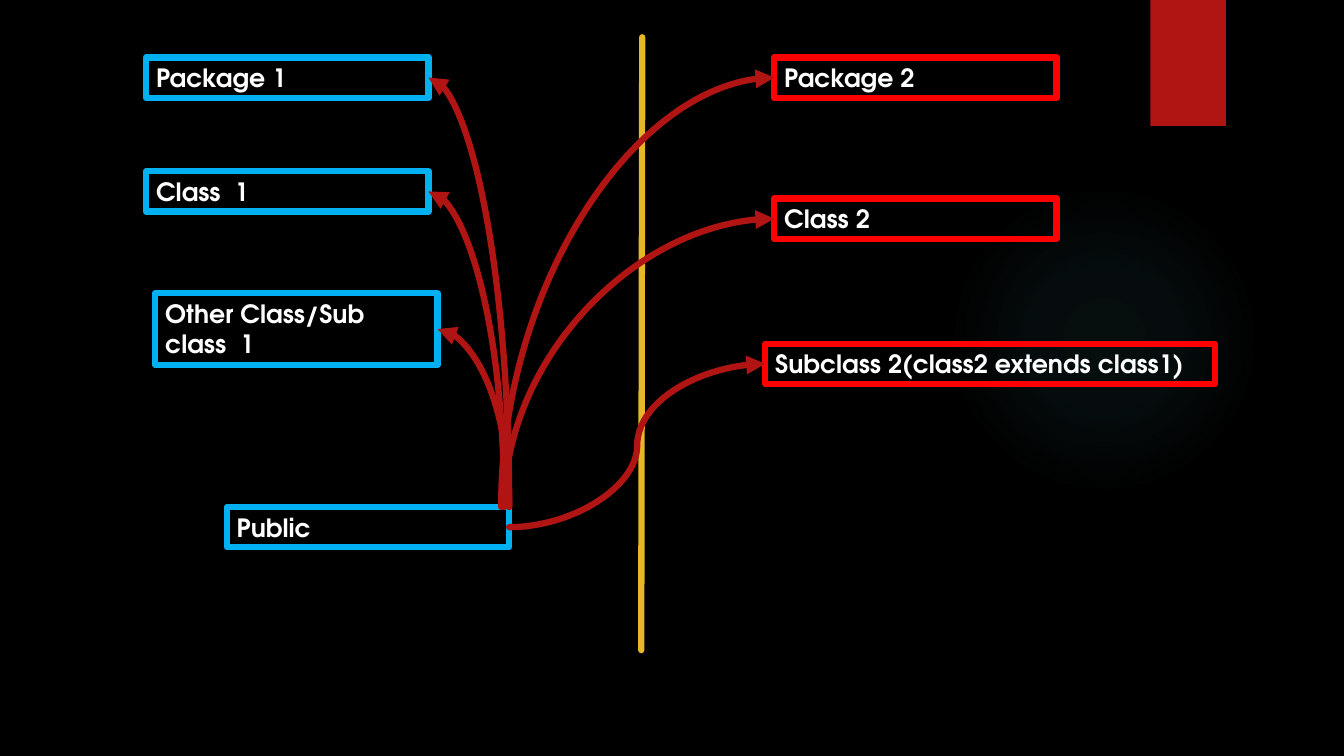
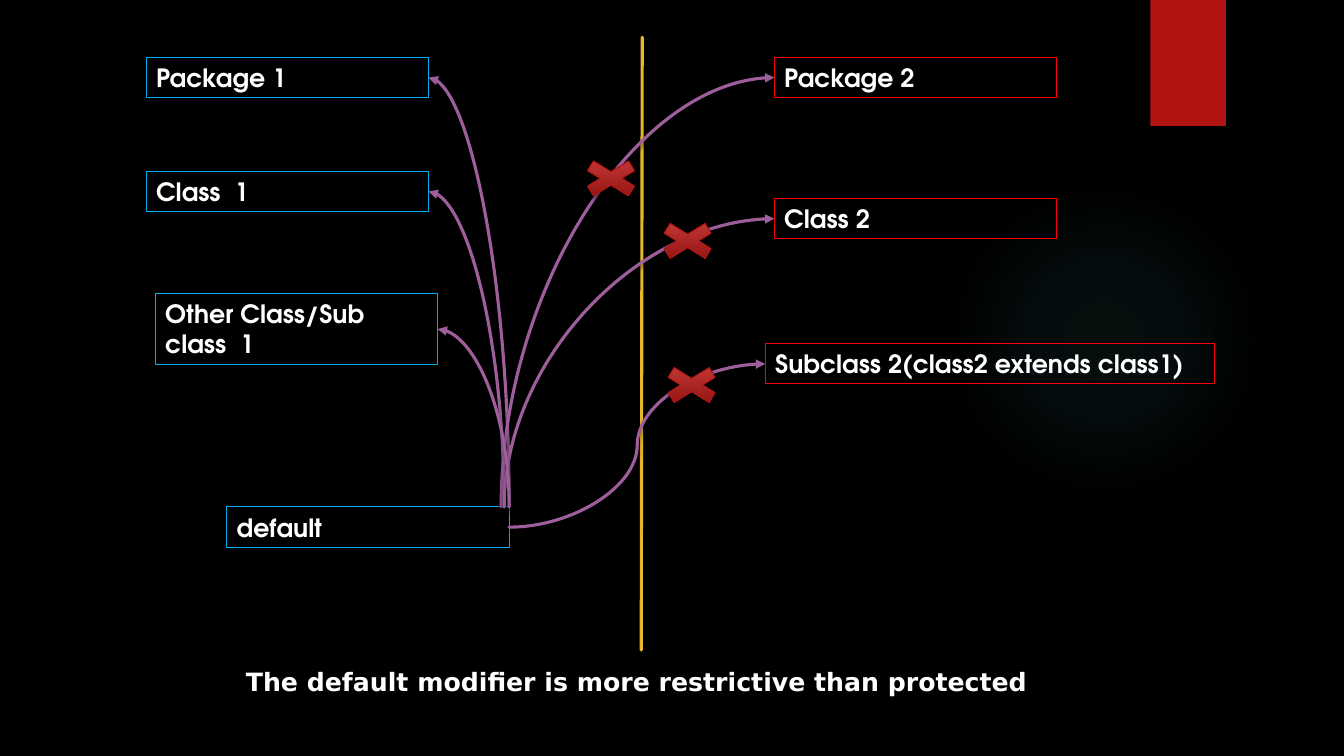
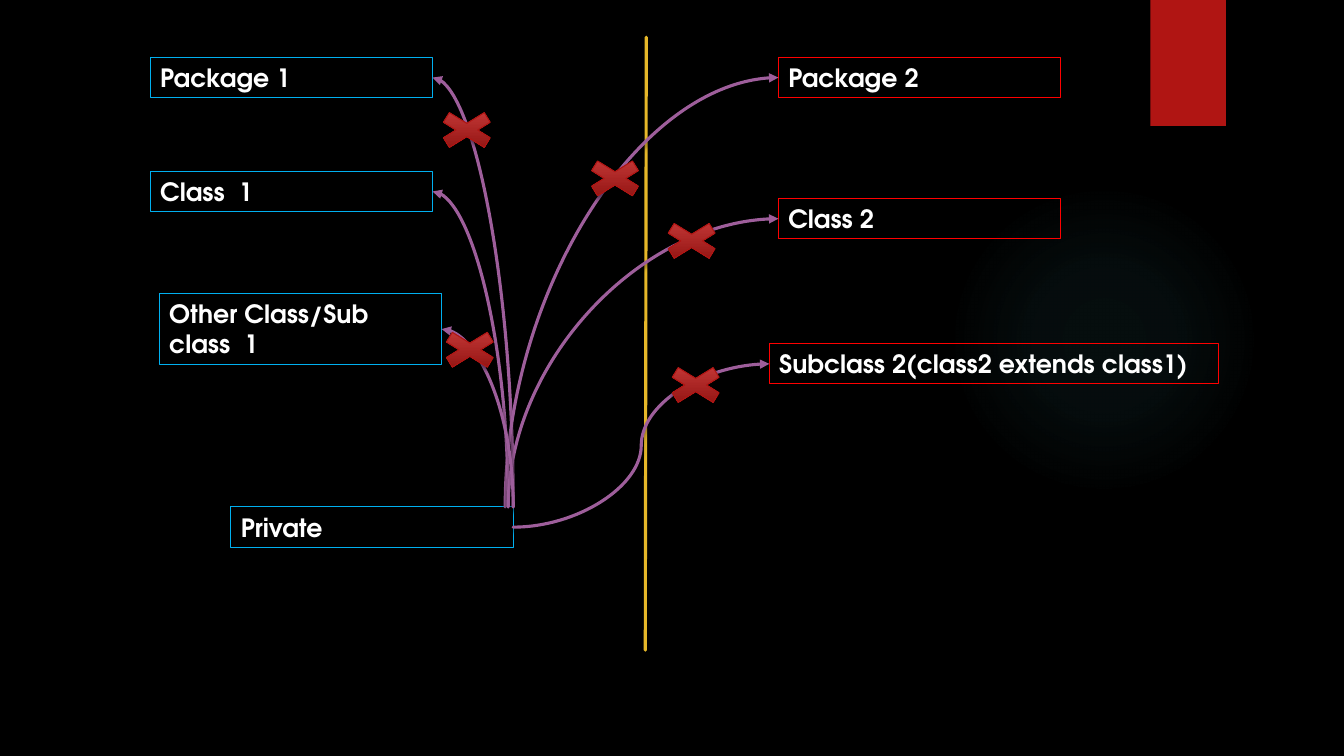
from dataclasses import dataclass

from pptx import Presentation
from pptx.dml.color import RGBColor
from pptx.enum.shapes import MSO_CONNECTOR, MSO_SHAPE
from pptx.enum.text import MSO_ANCHOR, MSO_AUTO_SIZE, PP_ALIGN
from pptx.oxml import parse_xml
from pptx.oxml.ns import nsdecls, qn
from pptx.util import Inches, Pt

RECT, OVAL, CROSS = MSO_SHAPE.RECTANGLE, MSO_SHAPE.OVAL, MSO_SHAPE.MATH_MULTIPLY
LINE, CURVE = MSO_CONNECTOR.STRAIGHT, MSO_CONNECTOR.CURVE
LEFT, TOP, GROW = PP_ALIGN.LEFT, MSO_ANCHOR.TOP, MSO_AUTO_SIZE.SHAPE_TO_FIT_TEXT


@dataclass(frozen=True)
class Theme:
    back: str = "000000"
    text: str = "FFFFFF"
    red: str = "B01513"
    gold: str = "E6B729"
    plum: str = "9E5E9B"
    home: str = "00B0F0"
    away: str = "FF0000"
    glow: tuple = ((0, "50B9C1", 7), (36, "50B9C1", 6), (69, "50B9C1", 0))
    cross: tuple = ((0, "C93B3A", 100), (100, "8D110F", 100))
    font: str = "TeX Gyre Adventor"
    note: str = "DejaVu Sans"
    size: int = 18
    thin: float = 0.75
    mid: float = 2.25
    bold: float = 4.5


T = Theme()


@dataclass(frozen=True)
class Node:
    """A target box, its curve's start offset and its cross, within the map."""
    text: str
    x: float
    y: float
    away: bool = False
    w: float = 2.8
    h: float = 0.4
    start: float = 0
    cross: tuple = ()


NODES = {
    "pack1": Node("Package 1", 0, 0.2, cross=(2.75, 0.68)),
    "pack2": Node("Package 2", 6.23, 0.2, True, start=-0.08, cross=(4.22, 1.16)),
    "class1": Node("Class  1", 0, 1.33, start=-0.05),
    "class2": Node("Class 2", 6.23, 1.6, True, start=-0.05, cross=(4.98, 1.78)),
    "sub2": Node("Subclass 2(class2 extends class1)", 6.14, 3.04, True, w=4.46,
                 cross=(5.02, 3.21)),
    "other": Node("Other Class/Sub class  1", 0.09, 2.54, h=0.71,
                  cross=(2.78, 2.86)),
}


# Basic parts

def color(code):
    return RGBColor.from_string(code)


def effect(part, shade=True):
    """Set a soft shadow below the part, or none."""
    drop = (f'<a:outerShdw blurRad="{Pt(3)}" dist="{Pt(2)}" dir="5400000">'
            '<a:srgbClr val="000000"><a:alpha val="45000"/></a:srgbClr>'
            '</a:outerShdw>') if shade else ""
    part._element.spPr.append(
        parse_xml(f'<a:effectLst {nsdecls("a")}>{drop}</a:effectLst>'))


def grad(shape, stops, way):
    gs = "".join(f'<a:gs pos="{pos * 1000}"><a:srgbClr val="{code}">'
                 f'<a:alpha val="{alpha * 1000}"/></a:srgbClr></a:gs>'
                 for pos, code, alpha in stops)
    shape.fill.background()
    props = shape._element.spPr
    props.replace(props.find(qn("a:noFill")), parse_xml(
        f'<a:gradFill {nsdecls("a")} rotWithShape="1">'
        f'<a:gsLst>{gs}</a:gsLst>{way}</a:gradFill>'))


def draw(slide, kind, box, line=None, width=T.thin):
    shape = slide.shapes.add_shape(kind, *map(Inches, box))
    shape.fill.background()
    if line:
        shape.line.color.rgb = color(line)
        shape.line.width = Pt(width)
    else:
        shape.line.fill.background()
    return shape


def write(shape, text, font):
    frame = shape.text_frame
    frame.word_wrap, frame.auto_size = True, GROW
    frame.vertical_anchor = TOP
    para = frame.paragraphs[0]
    para.text, para.alignment = text, LEFT
    face = para.font
    face.name, face.size, face.bold = font, Pt(T.size), True
    face.color.rgb = color(T.text)


def link(slide, kind, start, end, line, width):
    wire = slide.shapes.add_connector(kind, *map(Inches, (*start, *end)))
    wire.line.color.rgb = color(line)
    wire.line.width = Pt(width)
    wire.line._ln.set("cap", "rnd")
    return wire


def arrow(wire, shade):
    wire.line._ln.append(parse_xml(f'<a:tailEnd {nsdecls("a")} type="triangle"/>'))
    effect(wire, shade)


def bend(slide, start, end, line, width):
    """Curve that leaves upward and arrives sideways: a turned quarter bend."""
    (x1, y1), (x2, y2) = start, end
    w, h = abs(x2 - x1), abs(y2 - y1)
    x, y = (x1 + x2 - h) / 2, (y1 + y2 - w) / 2
    right = x2 > x1
    ends = ((x + h, y + w), (x, y)) if right else ((x, y + w), (x + h, y))
    wire = link(slide, CURVE, *ends, line, width)
    props = wire._element.spPr
    props.find(qn("a:prstGeom")).set("prst", "curvedConnector2")
    props.find(qn("a:xfrm")).set("rot", str((90 if right else 270) * 60000))
    return wire


# Regions

def base(deck):
    """New slide with the shared background, glow and band."""
    slide = deck.slides.add_slide(deck.slide_layouts[6])
    fill = slide.background.fill
    fill.solid()
    fill.fore_color.rgb = color(T.back)
    glow = draw(slide, OVAL, (9.41, 1.83, 3.08, 3.08))
    grad(glow, T.glow, '<a:path path="circle"><a:fillToRect l="50000" t="50000" '
                       'r="50000" b="50000"/></a:path>')
    effect(glow, False)
    band = draw(slide, RECT, (11.41, 0, 0.75, 1.25))
    band.fill.solid()
    band.fill.fore_color.rgb = color(T.red)
    effect(band)
    return slide


def label(slide, box, text, line, width):
    shape = draw(slide, RECT, box, line, width)
    write(shape, text, T.font)
    effect(shape, False)


def cross(slide, x, y):
    mark = draw(slide, CROSS, (x, y, 0.78, 0.48), T.red)
    grad(mark, T.cross, '<a:lin ang="5400000" scaled="0"/>')
    effect(mark)


def access(slide, left, top, name, denied=(), strong=False):
    """Map of what a modifier reaches, with a cross on each denied target."""
    edge, rule = (T.bold, T.bold) if strong else (T.thin, T.mid)
    tint = T.red if strong else T.plum

    effect(link(slide, LINE, (left + 4.92, top), (left + 4.91, top + 6.08),
                T.gold, rule))
    for node in NODES.values():
        label(slide, (left + node.x, top + node.y, node.w, node.h), node.text,
              T.away if node.away else T.home, edge)
    label(slide, (left + 0.8, top + 4.66, 2.8, 0.4), name, T.home, edge)

    # Curves run from the modifier to the near side of each target
    for key, node in NODES.items():
        end = (left + node.x + (0 if node.away else node.w),
               top + node.y + node.h / 2)
        if key == "sub2":
            wire = link(slide, CURVE, (left + 3.6, top + 4.86), end, tint, rule)
        else:
            start = (left + 3.6 + node.start, top + 4.66)
            wire = bend(slide, start, end, tint, rule)
        arrow(wire, not strong)

    for key in denied:
        x, y = NODES[key].cross
        cross(slide, left + x, top + y)


def note(slide, box, text):
    write(slide.shapes.add_textbox(*map(Inches, box)), text, T.note)


# Slides
deck = Presentation()
deck.slide_width, deck.slide_height = Inches(13.33), Inches(7.5)
far = ("pack2", "class2", "sub2")

access(base(deck), 1.45, 0.37, "Public", strong=True)

slide = base(deck)
access(slide, 1.45, 0.37, "default", far)
note(slide, (2.34, 6.56, 8.42, 0.4),
     "The default modifier is more restrictive than protected")

access(base(deck), 1.49, 0.37, "Private", (*far, "other", "pack1"))

deck.save("out.pptx")
